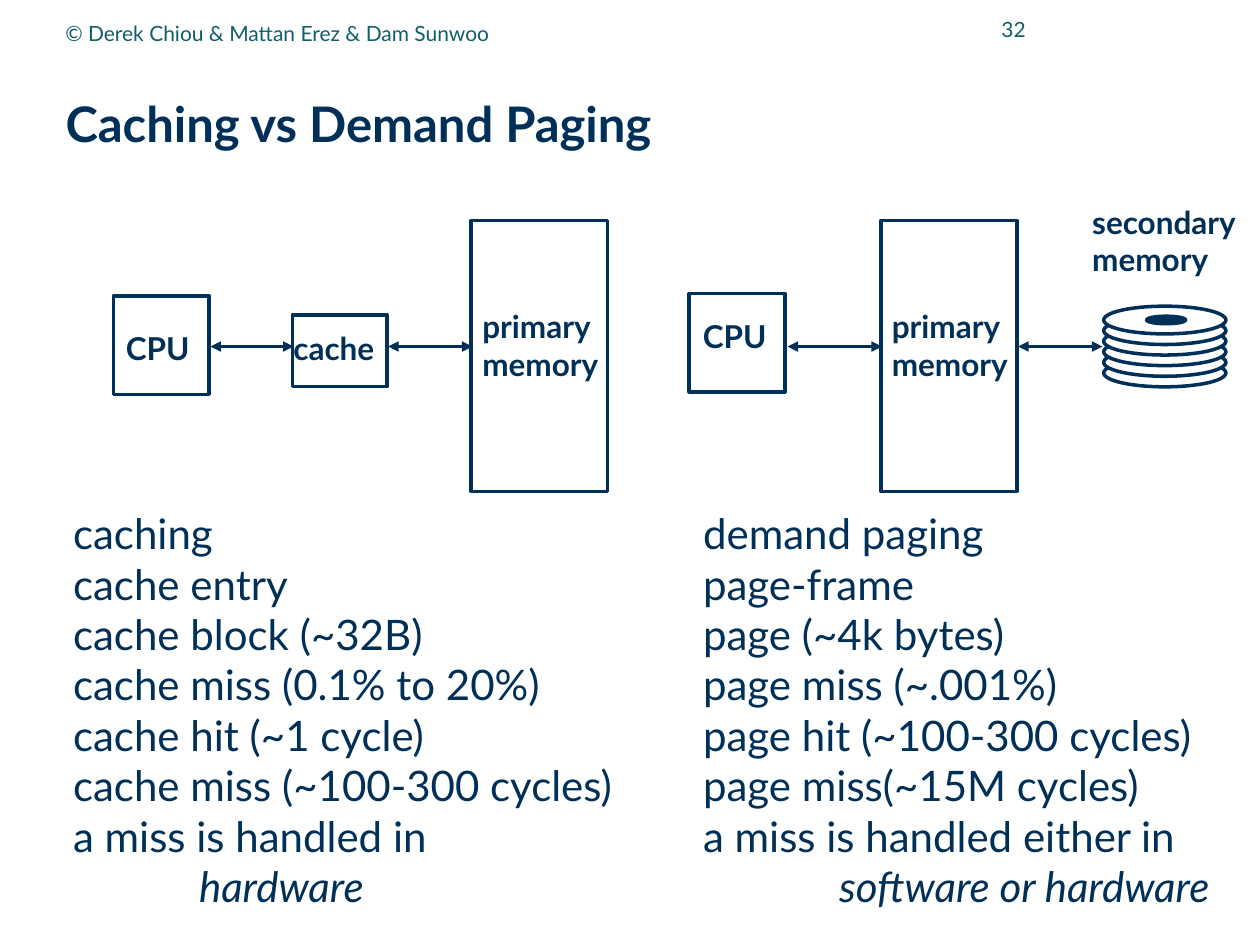
from lxml import etree
from pptx import Presentation
from pptx.dml.color import RGBColor
from pptx.enum.shapes import MSO_CONNECTOR, MSO_SHAPE
from pptx.enum.text import MSO_ANCHOR, MSO_AUTO_SIZE, PP_ALIGN
from pptx.oxml.ns import qn
from pptx.util import Inches, Pt

RECT, OVAL = MSO_SHAPE.RECTANGLE, MSO_SHAPE.OVAL
LINE = MSO_CONNECTOR.STRAIGHT
TOP, MID = MSO_ANCHOR.TOP, MSO_ANCHOR.MIDDLE
LEFT, RIGHT = PP_ALIGN.LEFT, PP_ALIGN.RIGHT
FIXED = MSO_AUTO_SIZE.NONE

COLORS = {"navy": "003057", "teal": "115E67", "white": "FFFFFF"}
FONTS = {
    "title": {"name": "Lato", "size": Pt(28), "bold": True},
    "label": {"name": "Lato", "size": Pt(18), "bold": True},
    "list": {"name": "Lato", "size": Pt(24), "bold": False},
    "small": {"name": "Lato", "size": Pt(12), "bold": False},
}
CACHE = [
    "caching",
    "cache entry",
    "cache block (~32B)",
    "cache miss (0.1% to 20%)",
    "cache hit (~1 cycle)",
    "cache miss (~100-300 cycles)",
    "a miss is handled in",
    "hardware",
]
PAGE = [
    "demand paging",
    "page-frame",
    "page (~4k bytes)",
    "page miss (~.001%)",
    "page hit (~100-300 cycles)",
    "page miss(~15M cycles)",
    "a miss is handled either in",
    "software or hardware",
]


def rgb(name):
    return RGBColor.from_string(COLORS[name])


def assign(item, values):
    for key, value in values.items():
        setattr(item, key, value)


def place(shape, box):
    keys = ("left", "top", "width", "height")
    assign(shape, dict(zip(keys, map(Inches, box))))


def style(font, kind, color="navy"):
    assign(font, FONTS[kind])
    font.color.rgb = rgb(color)


def write(frame, lines, kind, color="navy", align=LEFT, **form):
    assign(frame, {"auto_size": FIXED, "vertical_anchor": TOP, **form})
    for i, line in enumerate(lines):
        para = frame.paragraphs[0] if i == 0 else frame.add_paragraph()
        para.alignment = align
        run = para.add_run()
        run.text = line
        style(run.font, kind, color)


def label(slide, box, lines, kind="label", wrap=False, **form):
    text = slide.shapes.add_textbox(*map(Inches, box))
    write(text.text_frame, lines, kind, word_wrap=wrap, **form)


def block(slide, kind, box, fill="white"):
    shape = slide.shapes.add_shape(kind, *map(Inches, box))
    shape.shadow.inherit = False
    shape.fill.solid()
    shape.fill.fore_color.rgb = rgb(fill)
    shape.line.color.rgb = rgb("navy")
    shape.line.width = Pt(2)


def arrow(slide, start, end, y=2.75):
    line = slide.shapes.add_connector(LINE, *map(Inches, (start, y, end, y)))
    line.line.color.rgb = rgb("navy")
    line.line.width = Pt(2)
    stroke = line.line._get_or_add_ln()
    for tag in ("a:headEnd", "a:tailEnd"):
        etree.SubElement(stroke, qn(tag), type="triangle")
    etree.SubElement(line._element.spPr, qn("a:effectLst"))


def margin(para, left):
    para.space_before = Pt(0)
    props = para._p.get_or_add_pPr()
    props.set("marL", str(Inches(left)))
    props.set("indent", "0")
    etree.SubElement(props, qn("a:buNone"))


def column(body, box, lines, shift):
    place(body, box)
    write(body.text_frame, lines, "list", word_wrap=True)
    paras = body.text_frame.paragraphs
    for para in paras[:-1]:
        margin(para, 0)
    margin(paras[-1], shift)
    paras[-1].runs[0].font.italic = True


def disk(slide):
    for i in range(6):
        block(slide, OVAL, (8.76, 2.85 - i * 0.084, 0.97, 0.22))
    block(slide, OVAL, (9.1, 2.51, 0.31, 0.06), "navy")


def diagram(slide):
    for box in ((0.9, 2.35, 0.76, 0.78), (2.32, 2.5, 0.75, 0.57),
                (5.47, 2.33, 0.76, 0.78)):
        block(slide, RECT, box)
    disk(slide)
    for ends in ((1.67, 2.33), (3.08, 3.75), (6.25, 7), (8.08, 8.75)):
        arrow(slide, *ends)
    label(slide, (0.9, 2.56, 0.73, 0.4), ["CPU"])
    label(slide, (5.48, 2.47, 0.73, 0.4), ["CPU"])
    label(slide, (2.23, 2.56, 0.85, 0.4), ["cache"])
    for x in (3.74, 6.99):
        block(slide, RECT, (x, 1.75, 1.08, 2.15))
        label(slide, (x - 0.01, 2.39, 1.17, 0.7), ["primary", "memory"])
    label(slide, (8.57, 1.56, 1.37, 0.7), ["secondary", "memory"])


def main():
    deck = Presentation()
    deck.slide_width, deck.slide_height = Inches(10), Inches(7.5)
    slide = deck.slides.add_slide(deck.slide_layouts[3])
    title, first, second = slide.placeholders
    place(title, (0.42, 0.5, 9.41, 0.98))
    write(title.text_frame, ["Caching vs Demand Paging"], "title",
          vertical_anchor=MID)
    title.text_frame.paragraphs[0].line_spacing = 0.99
    small = {"kind": "small", "color": "teal", "wrap": True,
             "vertical_anchor": MID}
    label(slide, (7.33, -0.02, 0.91, 0.5), ["32"], align=RIGHT, **small)
    label(slide, (0.42, 0.03, 5.67, 0.46),
          ["© Derek Chiou & Mattan Erez & Dam Sunwoo"], **small)
    diagram(slide)
    column(first, (0.48, 3.98, 4.9, 3.33), CACHE, 1)
    column(second, (5.48, 3.98, 4.3, 3.33), PAGE, 1.08)
    deck.save("out.pptx")


if __name__ == "__main__":
    main()
